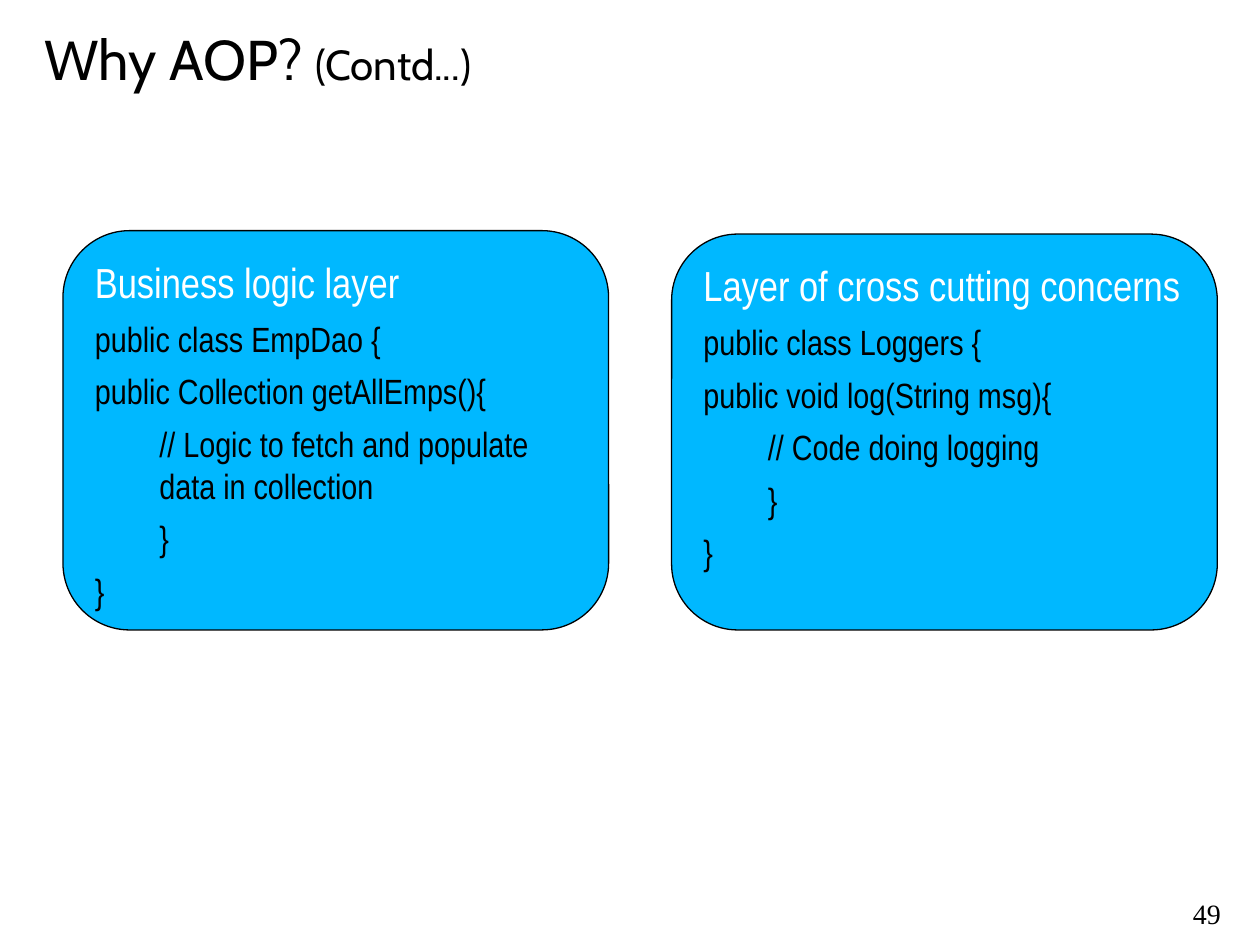
from pptx import Presentation
from pptx.dml.color import RGBColor
from pptx.enum.shapes import MSO_SHAPE
from pptx.enum.text import MSO_ANCHOR, MSO_AUTO_SIZE, PP_ALIGN
from pptx.util import Cm, Pt

BLACK = RGBColor(0x00, 0x00, 0x00)
WHITE = RGBColor(0xFF, 0xFF, 0xFF)
SKY = RGBColor(0x00, 0xB8, 0xFF)

ROUND_RECT = MSO_SHAPE.ROUNDED_RECTANGLE
TOP, MIDDLE = MSO_ANCHOR.TOP, MSO_ANCHOR.MIDDLE
LEFT, CENTER = PP_ALIGN.LEFT, PP_ALIGN.CENTER
GROW = MSO_AUTO_SIZE.SHAPE_TO_FIT_TEXT

TITLE_ONLY = 5
CODE_INDENT = Cm(1.3)


class SlideBuilder:
    title_font = "Cabin"
    panel_font = "Arial Narrow"
    number_font = "Times New Roman"

    def __init__(self, prs):
        self.s = prs.slides.add_slide(prs.slide_layouts[TITLE_ONLY])

    def run(self, p, text, font, size, color=BLACK):
        r = p.add_run()
        r.text = text
        r.font.name = font
        r.font.size = Pt(size)
        r.font.color.rgb = color

    def title(self, text, suffix):
        sp = self.s.shapes.title
        sp.left, sp.top, sp.width, sp.height = Cm(0.64), Cm(0), Cm(24.13), Cm(2.34)
        tf = sp.text_frame
        tf.vertical_anchor = MIDDLE
        p = tf.paragraphs[0]
        p.alignment = LEFT
        self.run(p, text, self.title_font, 32)
        self.run(p, suffix, self.title_font, 24)

    def page_number(self, number):
        sp = self.s.shapes.add_textbox(Cm(22.91), Cm(18.08), Cm(2.84), Cm(0.81))
        tf = sp.text_frame
        tf.word_wrap = False
        tf.auto_size = GROW
        p = tf.paragraphs[0]
        p.alignment = CENTER
        p.line_spacing = 0.8
        self.run(p, number, self.number_font, 16)

    def code_panel(self, left, top, height, heading, code):
        """Draw a rounded panel; code is a list of (indent level, line)."""
        sp = self.s.shapes.add_shape(ROUND_RECT, left, top, Cm(11), height)
        sp.shadow.inherit = False
        sp.adjustments[0] = 0.167
        sp.fill.solid()
        sp.fill.fore_color.rgb = SKY
        sp.line.color.rgb = BLACK
        sp.line.width = Pt(0.75)
        tf = sp.text_frame
        tf.word_wrap = True
        tf.vertical_anchor = TOP
        p = tf.paragraphs[0]
        p.alignment = LEFT
        self.run(p, heading, self.panel_font, 24, WHITE)
        for level, line in code:
            p = tf.add_paragraph()
            p.alignment = LEFT
            p.space_before = Pt(6)
            if level:
                p._p.get_or_add_pPr().set("marL", str(level * CODE_INDENT))
            self.run(p, line, self.panel_font, 20)


def main():
    prs = Presentation()
    prs.slide_width, prs.slide_height = Cm(25.4), Cm(19.05)

    slide = SlideBuilder(prs)
    slide.title("Why AOP? ", "(Contd...)")
    slide.page_number("49")
    slide.code_panel(Cm(1.27), Cm(4.65), Cm(8.05), "Business logic layer", [
        (0, "public class EmpDao {"),
        (0, "public Collection getAllEmps(){"),
        (1, "// Logic to fetch and populate data in collection"),
        (1, "}"),
        (0, "}"),
    ])
    slide.code_panel(Cm(13.54), Cm(4.72), Cm(7.98), "Layer of cross cutting concerns", [
        (0, "public class Loggers {"),
        (0, "public void log(String msg){"),
        (1, "// Code doing logging"),
        (1, "}"),
        (0, "}"),
    ])
    prs.save("out.pptx")


if __name__ == "__main__":
    main()
